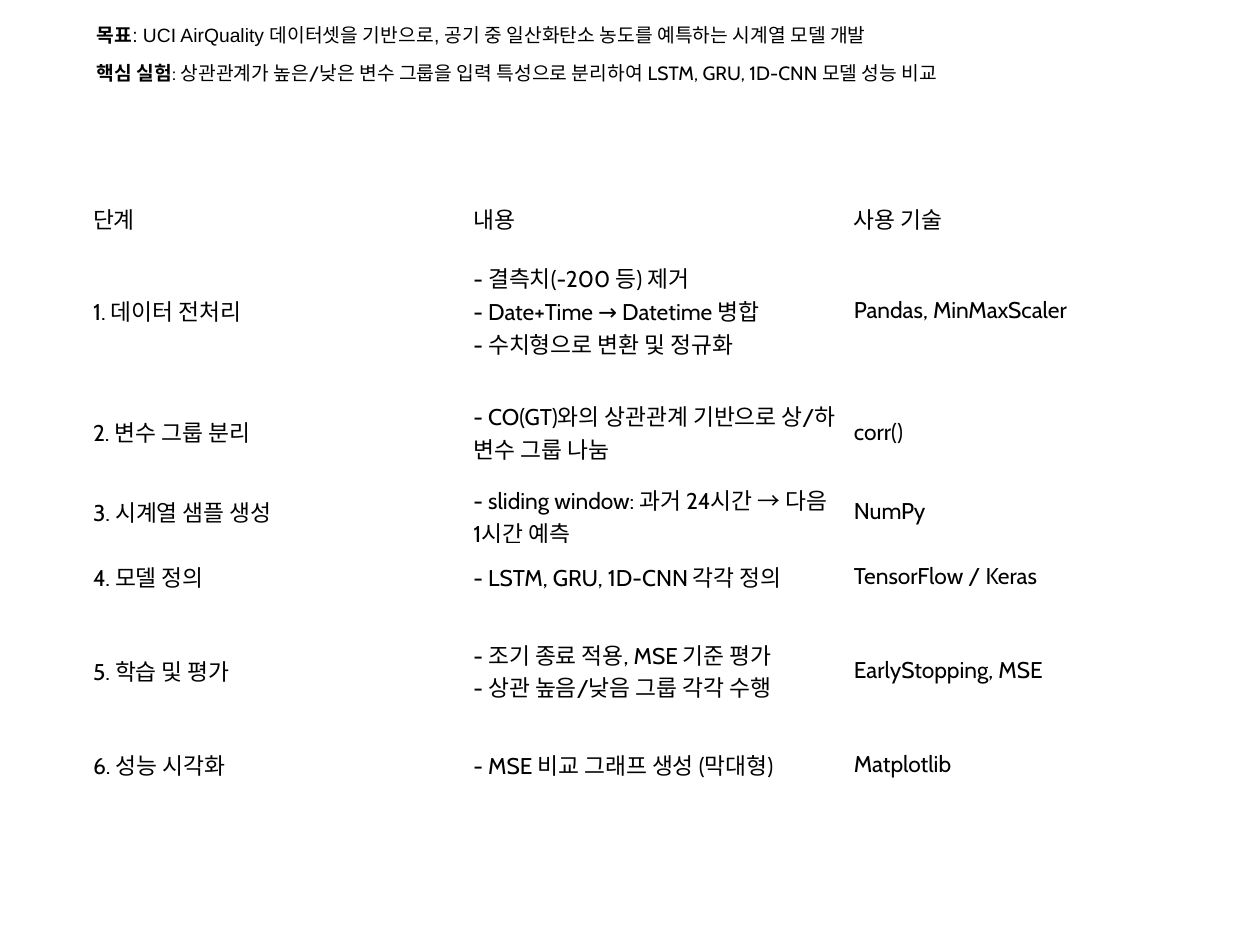
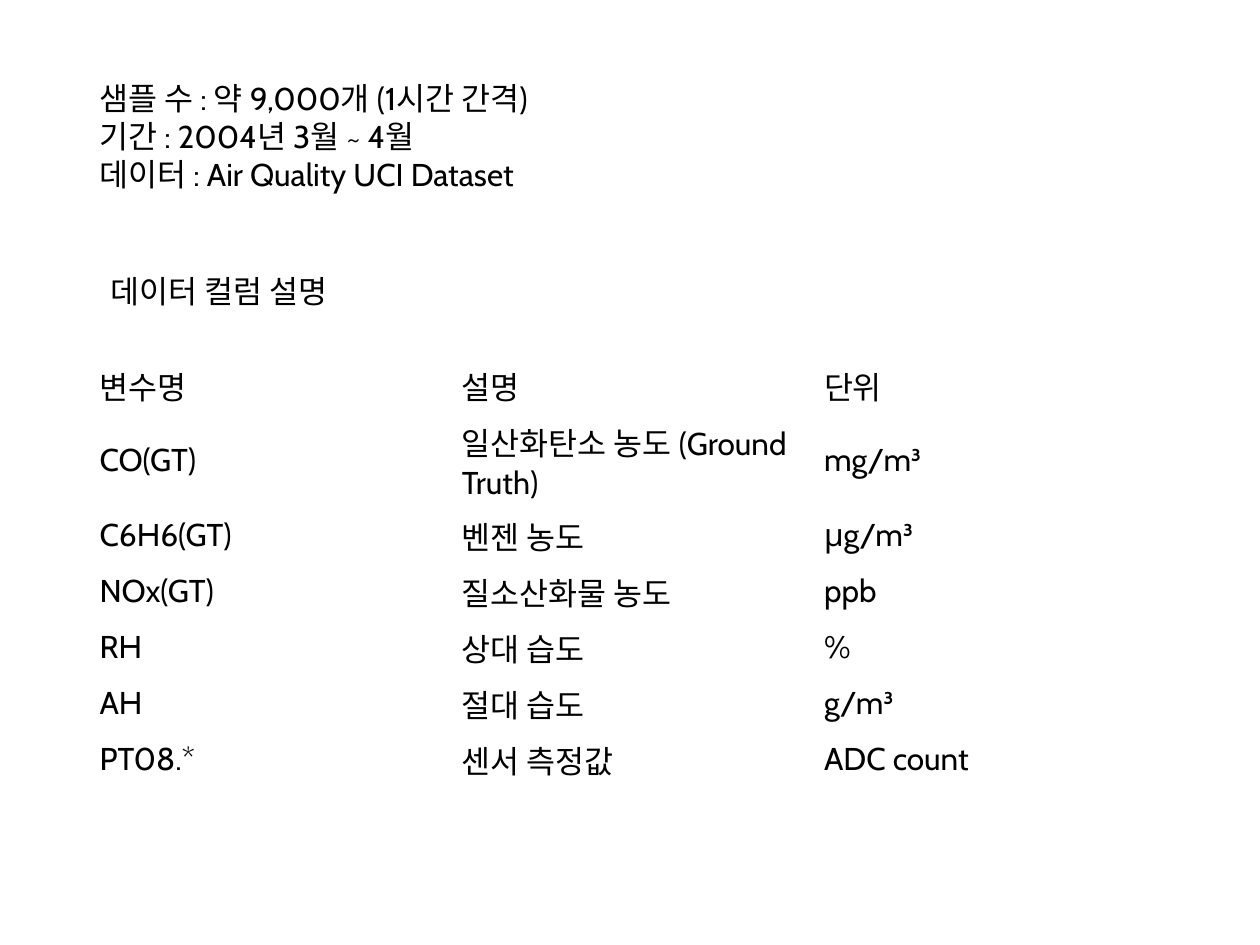
from dataclasses import dataclass

from pptx import Presentation
from pptx.dml.color import RGBColor
from pptx.enum.text import MSO_ANCHOR, MSO_AUTO_SIZE, PP_ALIGN
from pptx.util import Pt

LEFT = PP_ALIGN.LEFT
TOP, MIDDLE = MSO_ANCHOR.TOP, MSO_ANCHOR.MIDDLE
GROW = MSO_AUTO_SIZE.SHAPE_TO_FIT_TEXT
TITLE_ONLY, BLANK = 5, 6


@dataclass(frozen=True)
class Theme:
    ink: RGBColor = RGBColor(0, 0, 0)
    font: str = "Cabin"
    goal_font: str = "Arial"
    summary_size: int = 11
    steps_size: int = 13
    body_size: int = 18


THEME = Theme()

STEPS = [
    ("단계", "내용", "사용 기술"),
    ("1. 데이터 전처리",
     "- 결측치(-200 등) 제거\v- Date+Time → Datetime 병합\v- 수치형으로 변환 및 정규화",
     "Pandas, MinMaxScaler"),
    ("2. 변수 그룹 분리", "- CO(GT)와의 상관관계 기반으로 상/하 변수 그룹 나눔", "corr()"),
    ("3. 시계열 샘플 생성", "- sliding window: 과거 24시간 → 다음 1시간 예측", "NumPy"),
    ("4. 모델 정의", "- LSTM, GRU, 1D-CNN 각각 정의", "TensorFlow / Keras"),
    ("5. 학습 및 평가",
     "- 조기 종료 적용, MSE 기준 평가\v- 상관 높음/낮음 그룹 각각 수행",
     "EarlyStopping, MSE"),
    ("6. 성능 시각화", "- MSE 비교 그래프 생성 (막대형)", "Matplotlib"),
]
STEP_HEIGHTS = [21.6, 85.7, 53.3, 37.4, 37.4, 69.8, 37.4]

VARIABLES = [
    ("변수명", "설명", "단위"),
    ("CO(GT)", "일산화탄소 농도 (Ground Truth)", "mg/m³"),
    ("C6H6(GT)", "벤젠 농도", "μg/m³"),
    ("NOx(GT)", "질소산화물 농도", "ppb"),
    ("RH", "상대 습도", "%"),
    ("AH", "절대 습도", "g/m³"),
    ("PT08.*", "센서 측정값", "ADC count"),
]
VARIABLE_HEIGHTS = [32, 54] + [32] * 5


def style_paragraph(para, size, font=THEME.font):
    para.alignment = LEFT
    para.font.name = font
    para.font.size = Pt(size)
    para.font.color.rgb = THEME.ink


def fit_frame(frame, wrap=False, anchor=TOP):
    frame.word_wrap = wrap
    frame.auto_size = GROW
    frame.vertical_anchor = anchor


def add_labelled_line(page, box, label, text, font=THEME.font, anchor=TOP):
    """Add one line of text that opens with a bold label."""
    frame = page.shapes.add_textbox(*map(Pt, box)).text_frame
    fit_frame(frame, anchor=anchor)
    para = frame.paragraphs[0]
    style_paragraph(para, THEME.summary_size, font)
    for words, bold in ((label, True), (text, False)):
        span = para.add_run()
        span.text = words
        span.font.bold = bold


def add_lines(page, box, lines):
    frame = page.shapes.add_textbox(*map(Pt, box)).text_frame
    fit_frame(frame, wrap=True)
    frame.text = "\n".join(lines)
    for para in frame.paragraphs:
        style_paragraph(para, THEME.body_size)


def set_heading(page, box, text):
    title = page.shapes.title
    title.left, title.top, title.width, title.height = map(Pt, box)
    title.text = text
    fit_frame(title.text_frame)
    style_paragraph(title.text_frame.paragraphs[0], THEME.body_size)


def add_plain_table(page, left, top, column_width, heights, rows, size, margins=None):
    """Add a table without fills; margins are (side, top and bottom)."""
    columns = len(rows[0])
    table = page.shapes.add_table(
        len(rows), columns, Pt(left), Pt(top),
        Pt(column_width * columns), Pt(sum(heights))).table
    table.first_row = table.horz_banding = False
    for column in table.columns:
        column.width = Pt(column_width)
    for row, height, texts in zip(table.rows, heights, rows):
        row.height = Pt(height)
        for cell, text in zip(row.cells, texts):
            cell.fill.background()
            cell.vertical_anchor = MIDDLE
            if margins:
                cell.margin_left = cell.margin_right = Pt(margins[0])
                cell.margin_top = cell.margin_bottom = Pt(margins[1])
            cell.text = text
            style_paragraph(cell.text_frame.paragraphs[0], size)


def build_plan(deck):
    page = deck.slides.add_slide(deck.slide_layouts[BLANK])
    add_labelled_line(
        page, (48.2, 9.4, 491, 20.6), "목표",
        ": UCI AirQuality 데이터셋을 기반으로, 공기 중 일산화탄소 농도를 예특하는 시계열 모델 개발",
        THEME.goal_font, MIDDLE)
    add_labelled_line(
        page, (48.2, 31.7, 526.3, 20.6), "핵심 실험",
        ": 상관관계가 높은/낮은 변수 그룹을 입력 특성으로 분리하여 LSTM, GRU, 1D-CNN 모델 성능 비교")
    add_plain_table(page, 48.2, 113, 217.4, STEP_HEIGHTS, STEPS,
                    THEME.steps_size, margins=(5, 2.6))


def build_dataset(deck):
    page = deck.slides.add_slide(deck.slide_layouts[TITLE_ONLY])
    set_heading(page, (56.2, 152, 149, 29), "데이터 컬럼 설명")
    add_plain_table(page, 49.7, 203.8, 207, VARIABLE_HEIGHTS, VARIABLES,
                    THEME.body_size)
    add_lines(page, (49.7, 41.8, 542, 72.7), [
        "샘플 수 : 약 9,000개 (1시간 간격)",
        "기간 : 2004년 3월 ~ 4월",
        "데이터 : Air Quality UCI Dataset",
    ])


def main():
    deck = Presentation()
    deck.slide_width, deck.slide_height = Pt(720), Pt(540)
    build_plan(deck)
    build_dataset(deck)
    deck.save("out.pptx")


if __name__ == "__main__":
    main()
